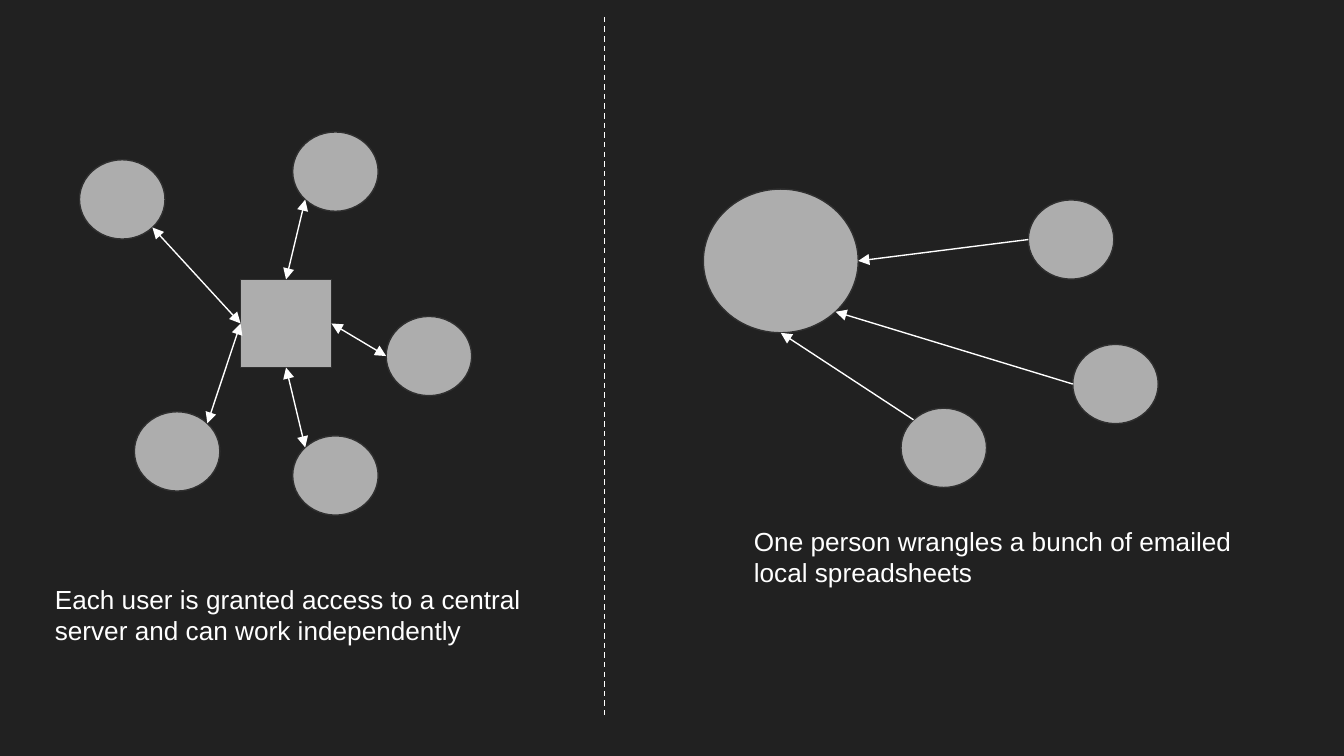
from math import cos, radians, sin
from typing import NamedTuple

from lxml.etree import SubElement
from pptx import Presentation
from pptx.dml.color import RGBColor
from pptx.enum.dml import MSO_LINE
from pptx.enum.shapes import MSO_CONNECTOR, MSO_SHAPE as Preset
from pptx.oxml.ns import qn
from pptx.util import Pt

BACKGROUND, NODE_FILL, NODE_EDGE, WHITE = "212121", "ADADAD", "303030", "FFFFFF"
LINE_WIDTH = 0.75
TOP, LEFT, BOTTOM, RIGHT = range(4)  # connection sites of a rectangle


class Point(NamedTuple):
    x: float
    y: float


class Box(NamedTuple):
    left: float
    top: float
    width: float
    height: float

    def rim(self, degrees: float) -> Point:
        """Point on the inscribed ellipse, clockwise from the right-hand end."""
        angle = radians(degrees)
        return Point(self.left + self.width / 2 * (1 + cos(angle)),
                     self.top + self.height / 2 * (1 + sin(angle)))


class ServerUser(NamedTuple):
    left: float
    top: float
    rim_angle: float
    server_side: int


class Sender(NamedTuple):
    left: float
    top: float
    rim_angle: float
    collector_angle: float


class Caption(NamedTuple):
    box: Box
    words: str


USER_SIZE = (45.8, 42.5)
SERVER = Box(128.9, 149.7, 48.7, 47.2)
COLLECTOR = Box(376.8, 101.3, 83, 77)
SERVER_USERS = [
    ServerUser(42.6, 85.6, 45, LEFT),
    ServerUser(72, 220.6, -45, LEFT),
    ServerUser(206.9, 169.5, 180, RIGHT),
    ServerUser(156.8, 233.5, 225, BOTTOM),
    ServerUser(156.8, 70.7, 135, TOP),
]
SENDERS = [
    Sender(550.9, 107.1, 180, 0),
    Sender(574.7, 184.5, 180, 45),
    Sender(482.7, 218.7, 225, 90),
]
CAPTIONS = [
    Caption(Box(396.8, 274.3, 272, 46.8),
            "One person wrangles a bunch of emailed local spreadsheets"),
    Caption(Box(22.3, 305.3, 272, 46.8),
            "Each user is granted access to a central server and can work independently"),
]


def color(hex_value: str) -> RGBColor:
    return RGBColor.from_string(hex_value)


def draw_node(slide, preset: Preset, box: Box):
    node = slide.shapes.add_shape(preset, *map(Pt, box))
    node.shadow.inherit = False
    node.fill.solid()
    node.fill.fore_color.rgb = color(NODE_FILL)
    node.line.color.rgb = color(NODE_EDGE)
    node.line.width = Pt(LINE_WIDTH)
    return node


def draw_line(slide, start: Point, end: Point, arrow_ends: tuple[str, ...] = ()):
    """Draw a white line; arrow_ends holds headEnd (start) and tailEnd (end)."""
    line = slide.shapes.add_connector(MSO_CONNECTOR.STRAIGHT, *map(Pt, (*start, *end)))
    line.line.color.rgb = color(WHITE)
    line.line.width = Pt(LINE_WIDTH)
    properties = line._element.spPr
    SubElement(properties, qn("a:effectLst"))
    for arrow_end in arrow_ends:
        SubElement(properties.find(qn("a:ln")), qn(f"a:{arrow_end}"),
                   type="triangle", w="med", len="med")
    return line


def draw_caption(slide, caption: Caption) -> None:
    frame = slide.shapes.add_textbox(*map(Pt, caption.box)).text_frame
    frame.word_wrap = True
    frame.margin_left = frame.margin_right = Pt(7.2)
    frame.margin_top = frame.margin_bottom = Pt(7.2)
    run = frame.paragraphs[0].add_run()
    run.text = caption.words
    run.font.name = "Arial"
    run.font.size = Pt(14)
    run.font.color.rgb = color(WHITE)


def draw_shared_server(slide) -> None:
    server = draw_node(slide, Preset.RECTANGLE, SERVER)
    for user in SERVER_USERS:
        user_box = Box(user.left, user.top, *USER_SIZE)
        draw_node(slide, Preset.OVAL, user_box)
        rim = user_box.rim(user.rim_angle)
        link = draw_line(slide, rim, rim, ("headEnd", "tailEnd"))
        link.end_connect(server, user.server_side)


def draw_email_collection(slide) -> None:
    draw_node(slide, Preset.OVAL, COLLECTOR)
    for sender in SENDERS:
        sender_box = Box(sender.left, sender.top, *USER_SIZE)
        draw_node(slide, Preset.OVAL, sender_box)
        draw_line(slide, sender_box.rim(sender.rim_angle),
                  COLLECTOR.rim(sender.collector_angle), ("tailEnd",))


def main() -> None:
    deck = Presentation()
    deck.slide_width, deck.slide_height = Pt(720), Pt(405)
    slide = deck.slides.add_slide(deck.slide_layouts[6])
    slide.background.fill.solid()
    slide.background.fill.fore_color.rgb = color(BACKGROUND)

    draw_shared_server(slide)
    draw_email_collection(slide)
    for caption in CAPTIONS:
        draw_caption(slide, caption)
    divider = draw_line(slide, Point(323.8, 9), Point(323.8, 382.8))
    divider.line.dash_style = MSO_LINE.DASH
    deck.save("out.pptx")


if __name__ == "__main__":
    main()
